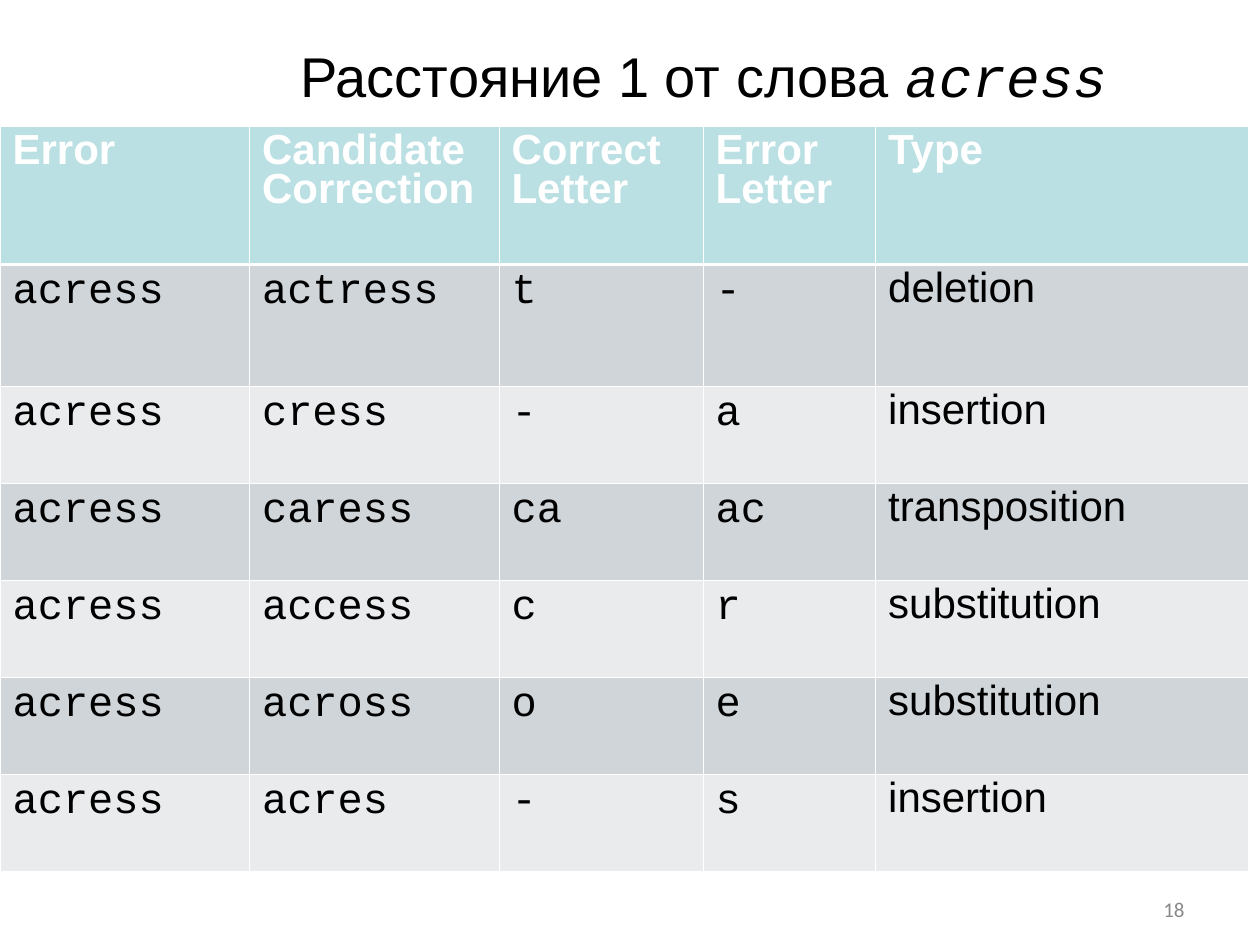
from lxml import etree
from pptx import Presentation
from pptx.dml.color import RGBColor
from pptx.enum.text import MSO_ANCHOR, MSO_AUTO_SIZE, PP_ALIGN
from pptx.oxml.ns import qn
from pptx.util import Inches, Pt

BOTTOM, MIDDLE = MSO_ANCHOR.BOTTOM, MSO_ANCHOR.MIDDLE
CENTER, RIGHT = PP_ALIGN.CENTER, PP_ALIGN.RIGHT
NO_FIT = MSO_AUTO_SIZE.NONE
TITLE_ONLY = 5

COLUMNS = [19.8, 19.8, 16.2, 13.7, 29.6]
ROWS = [11, 9.7] + [7.7] * 5
HEADERS = ["Error", "Candidate Correction", "Correct Letter", "Error Letter", "Type"]
CORRECTIONS = [
    ("actress", "t", "-", "deletion"),
    ("cress", "-", "a", "insertion"),
    ("caress", "ca", "ac", "transposition"),
    ("access", "c", "r", "substitution"),
    ("across", "o", "e", "substitution"),
    ("acres", "-", "s", "insertion"),
]


class Deck:
    colors = {"text": "000000", "white": "FFFFFF", "header": "BBE0E3",
              "odd": "CFD5D9", "even": "E9EBED", "number": "898989"}
    sans, mono, small = "Arial", "Courier New", "Calibri"
    thin, thick = 0.45, 1.47

    def __init__(self):
        self.prs = Presentation()
        self.prs.slide_width, self.prs.slide_height = Inches(10), Inches(7.5)
        self.cell = self.prs.slide_width / 100
        self.s = self.prs.slides.add_slide(self.prs.slide_layouts[TITLE_ONLY])

    def grid(self, *cells):
        return [round(n * self.cell) for n in cells]

    def color(self, name):
        return RGBColor.from_string(self.colors[name])

    def font(self, target, name, size, color, bold=False):
        f = target.font
        f.name, f.size, f.bold = name, Pt(size), bold
        f.color.rgb = self.color(color)

    def title(self, text, word, *box):
        sp = self.s.shapes.title
        sp.left, sp.top, sp.width, sp.height = self.grid(*box)
        tf = sp.text_frame
        tf.auto_size, tf.vertical_anchor = NO_FIT, BOTTOM
        p = tf.paragraphs[0]
        p.alignment = CENTER
        for part, name in ((text, self.sans), (word, self.mono)):
            r = p.add_run()
            r.text = part
            self.font(r, name, 32, "text")
        r.font.italic = True

    def border(self, cell, side, width):
        tcPr = cell._tc.get_or_add_tcPr()
        ln = etree.Element(qn("a:ln" + side), w=str(Pt(width)))
        fill = etree.SubElement(ln, qn("a:solidFill"))
        etree.SubElement(fill, qn("a:srgbClr"), val=self.colors["white"])
        tcPr.insert(len(tcPr) - 1, ln)

    def table_cell(self, cell, text, row, name):
        header = row == 0
        cell.text = text
        cell.fill.solid()
        cell.fill.fore_color.rgb = self.color(
            "header" if header else "odd" if row % 2 else "even")
        p = cell.text_frame.paragraphs[0]
        p.line_spacing = 0.85
        self.font(p, name, 24, "white" if header else "text", header)
        for side in "LRTB":
            divider = (row, side) in ((0, "B"), (1, "T"))
            self.border(cell, side, self.thick if divider else self.thin)

    def table(self, rows, widths, heights, left, top):
        box = self.grid(left, top, sum(widths), sum(heights))
        table = self.s.shapes.add_table(len(rows), len(widths), *box).table
        for column, width in zip(table.columns, self.grid(*widths)):
            column.width = width
        for row, height in zip(table.rows, self.grid(*heights)):
            row.height = height
        for i, row in enumerate(rows):
            for j, text in enumerate(row):
                plain = i == 0 or j == len(row) - 1
                self.table_cell(table.cell(i, j), text, i,
                                self.sans if plain else self.mono)

    def page_number(self, text, *box):
        tf = self.s.shapes.add_textbox(*self.grid(*box)).text_frame
        tf.word_wrap, tf.vertical_anchor = True, MIDDLE
        p = tf.paragraphs[0]
        p.text, p.alignment = text, RIGHT
        self.font(p, self.small, 12, "number")


def main():
    deck = Deck()
    deck.title("Расстояние 1 от слова ", "acress", 15, -1.7, 81.7, 10.8)
    rows = [HEADERS] + [("acress",) + row for row in CORRECTIONS]
    deck.table(rows, COLUMNS, ROWS, 0, 10)
    deck.page_number("18", 71.7, 70.8, 23.3, 2.7)
    deck.prs.save("out.pptx")


if __name__ == "__main__":
    main()
